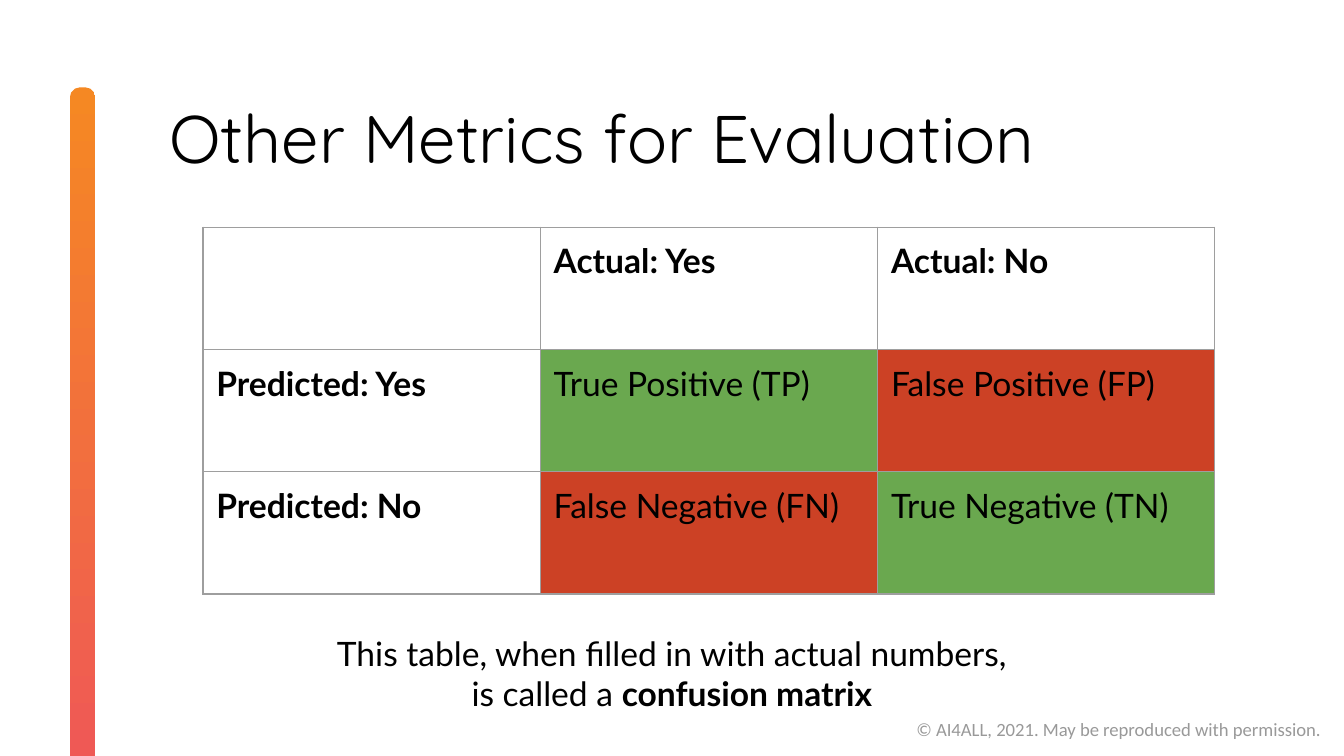
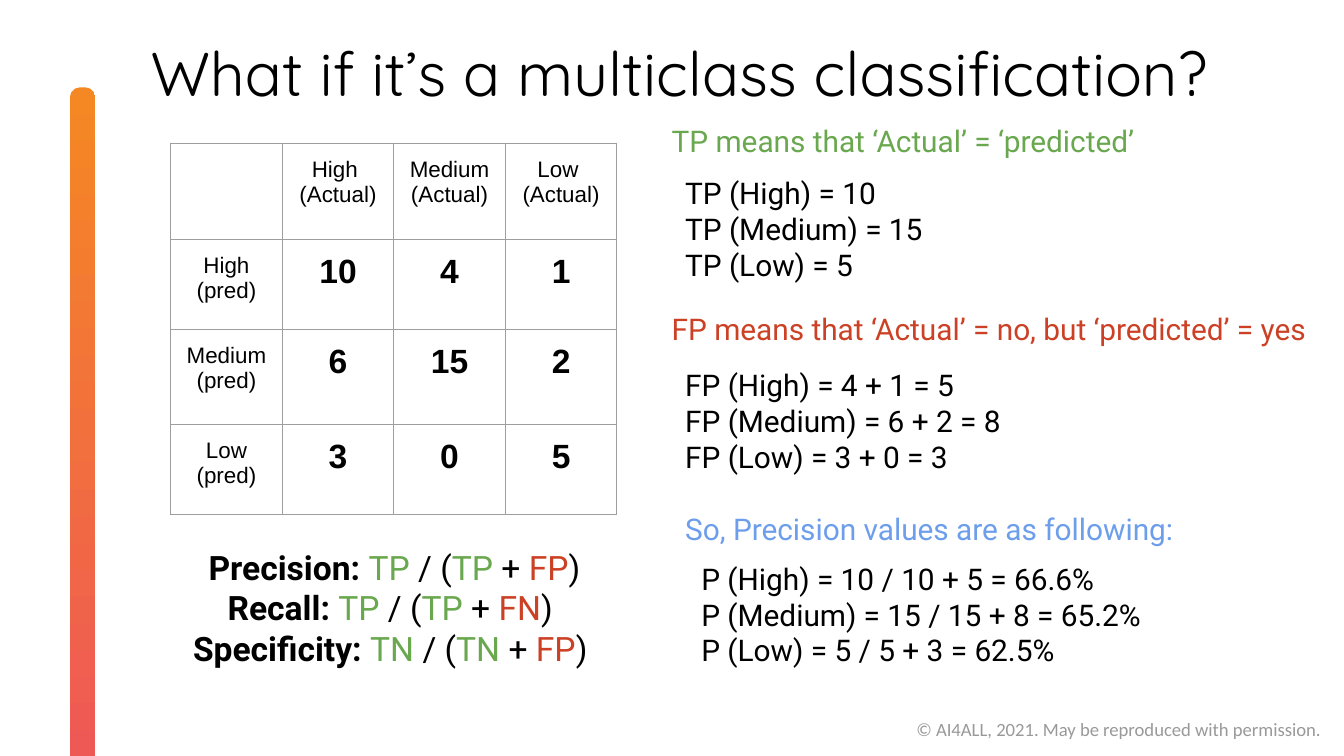
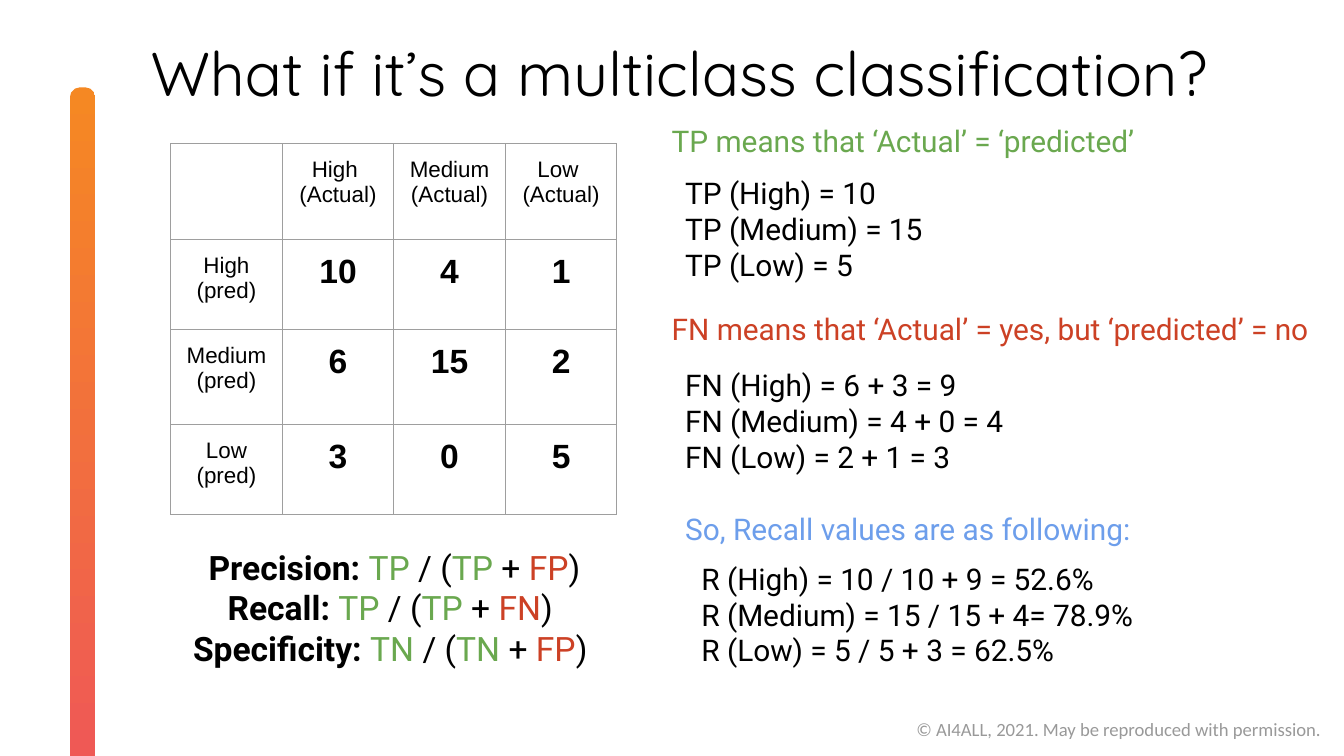
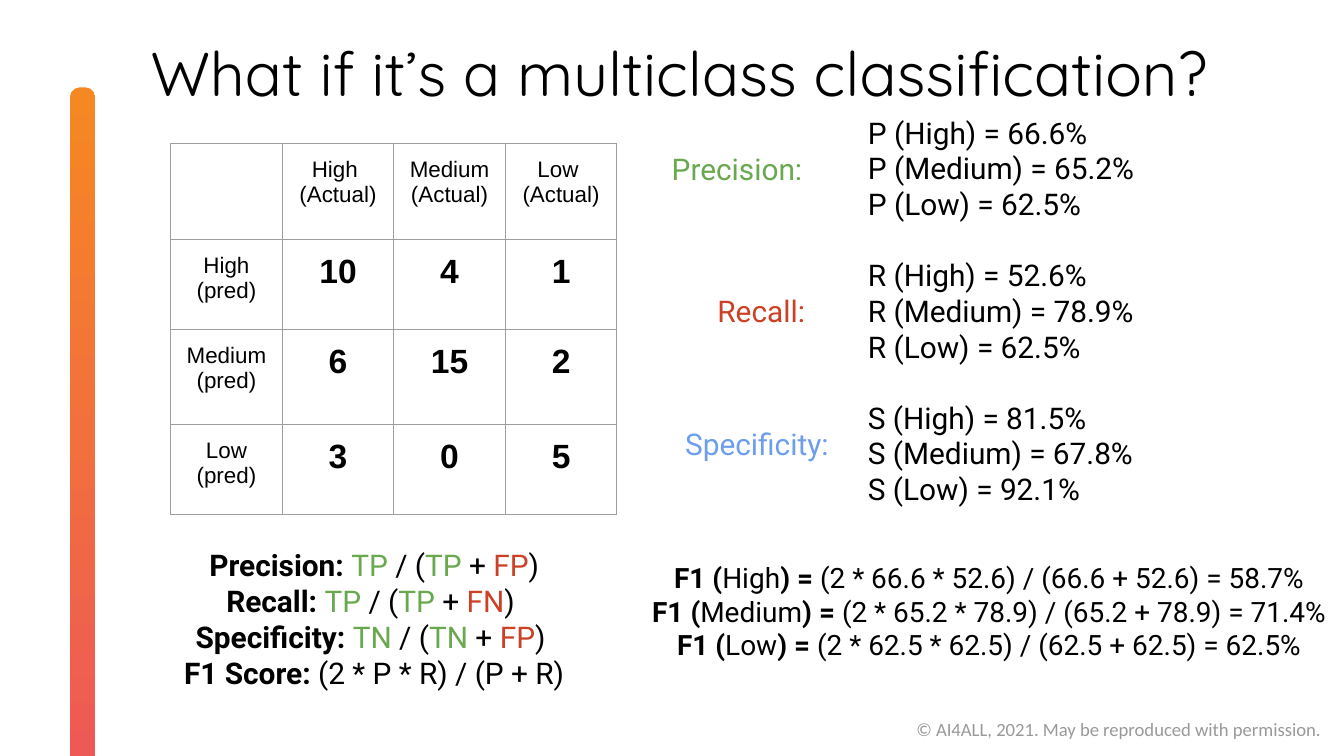
"""Build four slides on the confusion matrix and its multiclass metrics."""
from pptx import Presentation
from pptx.dml.color import RGBColor
from pptx.enum.shapes import MSO_SHAPE
from pptx.enum.text import MSO_ANCHOR, MSO_AUTO_SIZE, PP_ALIGN
from pptx.oxml import parse_xml
from pptx.oxml.ns import nsdecls
from pptx.util import Inches, Pt

INK = RGBColor(0x00, 0x00, 0x00)
GRAY = RGBColor(0x99, 0x99, 0x99)
RULE = RGBColor(0x9E, 0x9E, 0x9E)
GREEN = RGBColor(0x6A, 0xA8, 0x4F)
RED = RGBColor(0xCC, 0x41, 0x25)
BLUE = RGBColor(0x6D, 0x9E, 0xEB)
AMBER = RGBColor(0xF5, 0x88, 0x23)
CORAL = RGBColor(0xEF, 0x57, 0x57)

LEFT, MID = PP_ALIGN.LEFT, PP_ALIGN.CENTER
TOP, NO_FIT = MSO_ANCHOR.TOP, MSO_AUTO_SIZE.NONE
ROUND = MSO_SHAPE.ROUNDED_RECTANGLE

W = Inches(10)
H = W * 9 // 16
UNIT = W // 100

CREDIT = "© AI4ALL, 2021. May be reproduced with permission."
CREDIT_BOX = (67.2, 52.9, 32.4, 2.7)
BAR_BOX = (-19.75, 31.45, 51.8, 1.9)

MATRIX = [
    ["", "Actual: Yes", "Actual: No"],
    ["Predicted: Yes", "True Positive (TP)", "False Positive (FP)"],
    ["Predicted: No", "False Negative (FN)", "True Negative (TN)"],
]
CAPTION = [[
    ("This table, when filled in with actual numbers, is called a ", INK, False),
    ("confusion matrix", INK, True),
]]

COUNTS = [
    ["", "High \n(Actual)", "Medium (Actual)", "Low \n(Actual)"],
    ["High (pred)", "10", "4", "1"],
    ["Medium (pred)", "6", "15", "2"],
    ["Low (pred)", "3", "0", "5"],
]

RATIOS = [
    ("Precision: ", "TP", " / (", "TP ", "+ ", "FP", ")"),
    ("Recall: ", "TP", " / (", "TP", " + ", "FN", ") "),
    ("Specificity: ", "TN ", "/ (", "TN", " + ", "FP", ") "),
]
RATIO_INKS = (INK, GREEN, INK, GREEN, INK, RED, INK)
F1_RULE = [("F1 Score:", INK, True), (" (2 * P * R) / (P + R)", INK, False)]

HITS = ["TP (High) = 10", "TP (Medium) = 15", "TP (Low) = 5"]
STEPS = [
    {
        "miss": "FP means that ‘Actual’ = no, but ‘predicted’ = yes",
        "sums": ["FP (High) = 4 + 1 = 5", "FP (Medium) = 6 + 2 = 8",
                 "FP (Low) = 3 + 0 = 3"],
        "lead": "So, Precision values are as following:",
        "rates": ["P (High) = 10 / 10 + 5 = 66.6%",
                  "P (Medium) = 15 / 15 + 8 = 65.2%",
                  "P (Low) = 5 / 5 + 3 = 62.5%"],
    },
    {
        "miss": "FN means that ‘Actual’ = yes, but ‘predicted’ = no",
        "sums": ["FN (High) = 6 + 3 = 9", "FN (Medium) = 4 + 0 = 4",
                 "FN (Low) = 2 + 1 = 3"],
        "lead": "So, Recall values are as following:",
        "rates": ["R (High) = 10 / 10 + 9 = 52.6%",
                  "R (Medium) = 15 / 15 + 4= 78.9%",
                  "R (Low) = 5 / 5 + 3 = 62.5%"],
    },
]

LEVELS = ("High", "Medium", "Low")
SCORES = [
    ("Precision:", GREEN, (49, 10.2), ("66.6", "65.2", "62.5")),
    ("Recall:", RED, (52.4, 20.8), ("52.6", "78.9", "62.5")),
    ("Specificity:", BLUE, (50, 30.7), ("81.5", "67.8", "92.1")),
]
F1 = ("58.7", "71.4", "62.5")


def place(box):
    """Turn grid units into slide lengths."""
    return [round(n * UNIT) for n in box]


def write(frame, lines, font, size, ink=INK, bold=False, align=LEFT):
    """Fill a frame with lines, each a string or a list of runs."""
    frame.word_wrap = True
    for i, line in enumerate(lines):
        para = frame.paragraphs[0] if i == 0 else frame.add_paragraph()
        para.alignment = align
        runs = [(line, ink, bold)] if isinstance(line, str) else line
        for text, tint, heavy in runs:
            run = para.add_run()
            run.text = text
            run.font.name, run.font.size = font, Pt(size)
            run.font.color.rgb, run.font.bold = tint, heavy


def pad(frame, side, ends):
    """Set the insets of a frame in inches."""
    frame.margin_left = frame.margin_right = Inches(side)
    frame.margin_top = frame.margin_bottom = Inches(ends)
    frame.vertical_anchor = TOP


def note(slide, box, lines, font="Roboto", size=16, ink=INK, align=LEFT,
         side=0.1, ends=0.1):
    """Add a text box."""
    shape = slide.shapes.add_textbox(*place(box))
    pad(shape.text_frame, side, ends)
    write(shape.text_frame, lines, font, size, ink, align=align)
    return shape


def dress(slide, layout):
    """Put the gradient bar and the credit line on the layout."""
    bar = slide.shapes.add_shape(ROUND, *place(BAR_BOX))
    bar.adjustments[0] = 0.39
    bar.rotation = 90
    bar.shadow.inherit = False
    bar.line.fill.background()
    bar.fill.gradient()
    bar.fill.gradient_angle = 0
    for stop, tint in zip(bar.fill.gradient_stops, (AMBER, CORAL)):
        stop.color.rgb = tint
    credit = note(slide, CREDIT_BOX, [CREDIT], "Calibri", 10, GRAY, ends=0.05)
    for shape in (credit, bar):
        layout.shapes.element.append(shape.element)


def start(deck, layout, text, box, size):
    """Add a slide with its title."""
    slide = deck.slides.add_slide(layout)
    title = slide.shapes.title
    title.left, title.top, title.width, title.height = place(box)
    frame = title.text_frame
    pad(frame, 0, 0)
    frame.auto_size = NO_FIT
    write(frame, [text], "Quicksand", size)
    return slide


def frame_cell(cell):
    """Draw the four borders of a cell."""
    props = cell._tc.get_or_add_tcPr()
    for side in "LRTB":
        props.append(parse_xml(
            f'<a:ln{side} {nsdecls("a")} w="9525"><a:solidFill>'
            f'<a:srgbClr val="{RULE}"/></a:solidFill></a:ln{side}>'))


def grid(slide, at, rows, wide, highs, style):
    """Add a bordered table; style gives fill and text settings per cell."""
    size = (wide * len(rows[0]), sum(highs))
    table = slide.shapes.add_table(
        len(rows), len(rows[0]), *place(at + size)).table
    table.first_row = table.horz_banding = False
    for col in table.columns:
        col.width = round(wide * UNIT)
    for r, row in enumerate(rows):
        table.rows[r].height = round(highs[r] * UNIT)
        for c, text in enumerate(row):
            cell = table.cell(r, c)
            frame_cell(cell)
            pad(cell, 0.1, 0.1)
            fill, looks = style(r, c)
            if fill is None:
                cell.fill.background()
            else:
                cell.fill.solid()
                cell.fill.fore_color.rgb = fill
            if text:
                write(cell.text_frame, text.split("\n"), **looks)


def matrix_style(r, c):
    """Bold the heads and colour right and wrong outcomes."""
    head = r == 0 or c == 0
    fill = None if head else GREEN if r == c else RED
    return fill, {"font": "Lato", "size": 18, "bold": head}


def count_style(r, c):
    """Set small heads and large bold counts."""
    head = r == 0 or c == 0
    return None, {"font": "Arial", "size": 12 if head else 18,
                  "bold": not head, "align": MID}


def multi(deck, layout, box, size, extra=()):
    """Add a slide with the counts table and the formulas."""
    slide = start(deck, layout, "What if it’s a multiclass classification?",
                  (11.2, 2.6, 84, 6.4), 33)
    lines = [[(text, tint, i == 0)
              for i, (text, tint) in enumerate(zip(parts, RATIO_INKS))]
             for parts in RATIOS]
    note(slide, box, lines + list(extra), size=size, align=MID, side=0, ends=0)
    grid(slide, (12.7, 10.7), COUNTS, 8.3, (7.1, 6.7, 7.1, 6.7), count_style)
    return slide


def worked(deck, layout, step):
    """Add a slide that works out one metric."""
    slide = multi(deck, layout, (12.7, 40.7, 33.3, 12.1), 18)
    note(slide, (49, 8.1, 44, 4.7), ["TP means that ‘Actual’ = ‘predicted’"],
         ink=GREEN)
    note(slide, (50, 12, 25.3, 10.1), HITS)
    note(slide, (49, 22.1, 50.6, 4.7), [step["miss"]], ink=RED)
    note(slide, (50, 26.3, 28.3, 10.1), step["sums"])
    note(slide, (50, 37, 50.6, 4.7), [step["lead"]], ink=BLUE)
    note(slide, (51.2, 40.7, 41.8, 10.1), step["rates"])


def summary(deck, layout):
    """Add the slide with all scores and the F1 sums."""
    slide = multi(deck, layout, (8.5, 40.7, 38.7, 12.1), 16, [F1_RULE])
    for i, (name, tint, at, rates) in enumerate(SCORES):
        note(slide, at + (50.6, 4.7), [name], ink=tint)
        note(slide, (63.6, 7.5 + 10.6 * i, 41.8, 10.1),
             [f"{name[0]} ({lv}) = {n}%" for lv, n in zip(LEVELS, rates)])
    lines = [[("F1 (", INK, True), (lv, INK, False), (") =", INK, True),
              (f" (2 * {p} * {r}) / ({p} + {r}) = {f}%", INK, False)]
             for lv, p, r, f in zip(LEVELS, SCORES[0][3], SCORES[1][3], F1)]
    note(slide, (47.2, 40.7, 52.8, 12.1), lines, size=15, align=MID)


def main():
    """Build and save the deck."""
    deck = Presentation()
    deck.slide_width, deck.slide_height = W, H
    layout = deck.slide_layouts[5]
    first = start(deck, layout, "Other Metrics for Evaluation",
                  (12.6, 7.2, 80.3, 4), 36)
    dress(first, layout)
    grid(first, (15.1, 16.9), MATRIX, 25.1, (9.1,) * 3, matrix_style)
    note(first, (23.3, 46.1, 53.4, 5.9), CAPTION, "Lato", 18, align=MID)
    for step in STEPS:
        worked(deck, layout, step)
    summary(deck, layout)
    deck.save("out.pptx")


if __name__ == "__main__":
    main()
